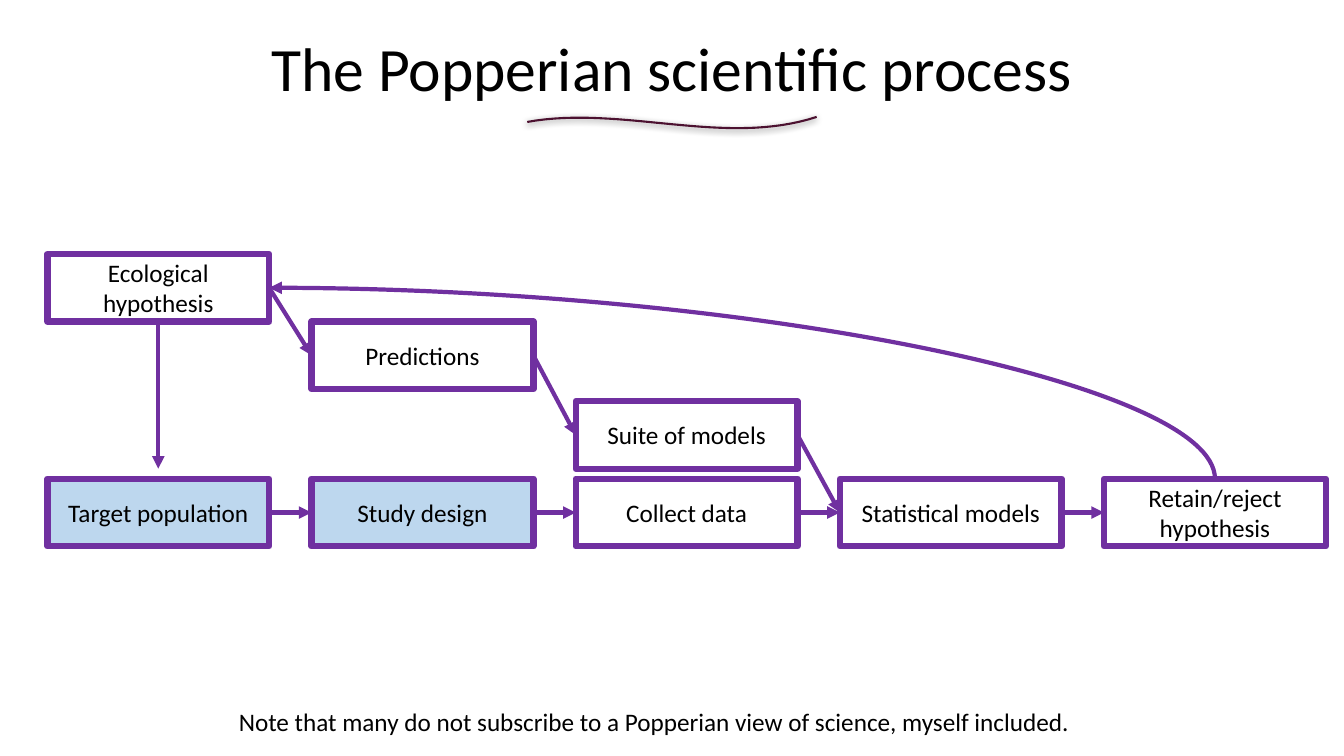
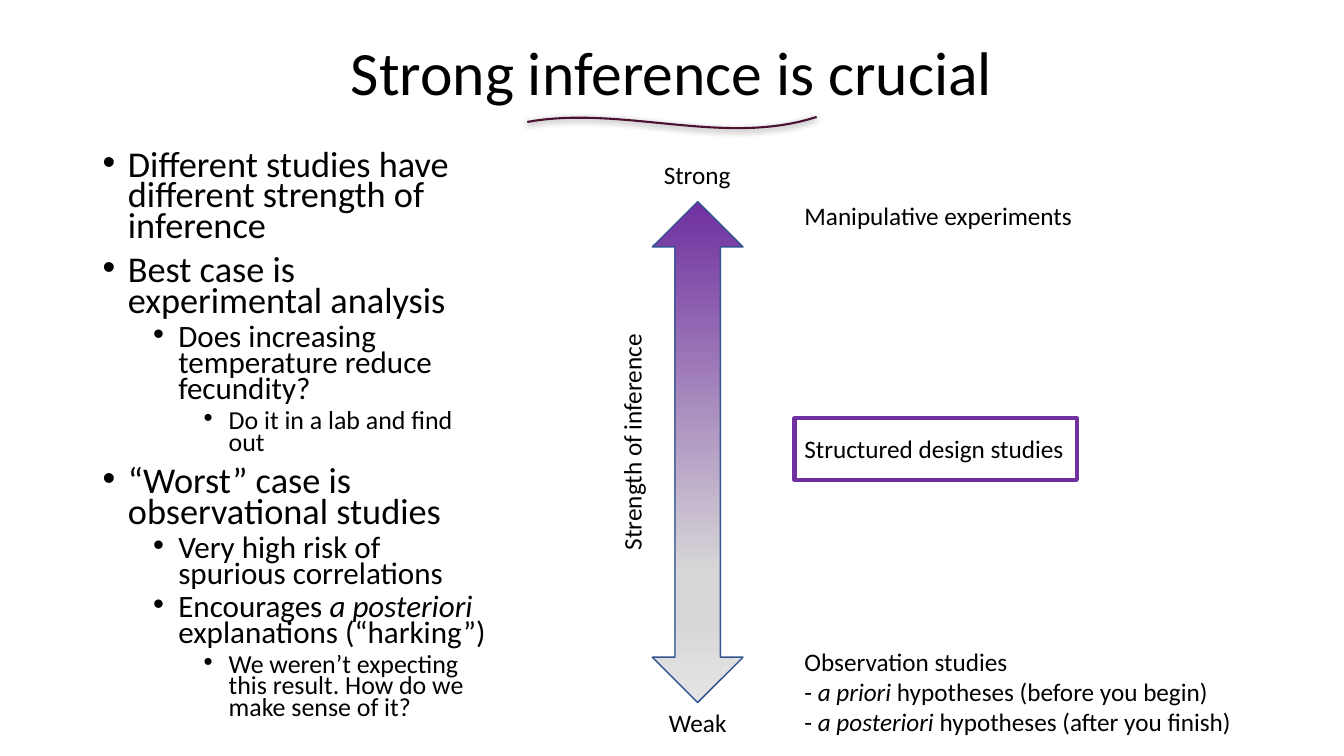
from lxml.etree import SubElement
from pptx import Presentation
from pptx.dml.color import RGBColor
from pptx.enum.shapes import MSO_CONNECTOR, MSO_SHAPE
from pptx.enum.text import MSO_ANCHOR, MSO_AUTO_SIZE, PP_ALIGN
from pptx.oxml.ns import qn
from pptx.util import Inches, Pt

FONT = "Calibri"
BLACK = "000000"
PURPLE = "7030A0"
PALE_BLUE = "BDD7EE"
PLUM = "4C1130"
ARROW_EDGE = "325491"
STRENGTH_STOPS = [(0, PURPLE), (74, "D7D7D7"), (83, "D7D7D7"), (100, "E4E4E4")]

BOX_WIDTH, BOX_HEIGHT = 2.2, 0.67
FIRST_COLUMN, COLUMN_STEP = 0.47, 2.62
BOTTOM_ROW = 4.75
TOP, LEFT, BOTTOM, RIGHT = range(4)

SWASH_CURVE = [(5.23, 1.21), (6.17, 1.04), (7.19, 1.46), (8.1, 1.16)]
SWASH_STEPS = 32

BULLET_SIZES = [25.9, 22.2, 18.5]
BULLETS = [
    (0, "Different studies have different strength of inference"),
    (0, "Best case is experimental analysis"),
    (1, "Does increasing temperature reduce fecundity?"),
    (2, "Do it in a lab and find out"),
    (0, "“Worst” case is observational studies"),
    (1, "Very high risk of spurious correlations"),
    (1, "Encourages *a posteriori *explanations (“harking”)"),
    (2, "We weren’t expecting this result. How do we make sense of it?"),
]


def color(value):
    return RGBColor.from_string(value)


def set_line(line, value, width):
    line.color.rgb = color(value)
    line.width = Pt(width)


def add_runs(paragraph, text, size):
    for index, part in enumerate(text.split("*")):
        if part:
            run = paragraph.add_run()
            run.text = part
            run.font.name = FONT
            run.font.size = Pt(size)
            run.font.color.rgb = color(BLACK)
            run.font.italic = index % 2 == 1


def add_text_box(slide, left, top, width, height):
    return slide.shapes.add_textbox(
        Inches(left), Inches(top), Inches(width), Inches(height)
    )


def add_label(slide, left, top, width, height, lines, align=PP_ALIGN.LEFT):
    label = add_text_box(slide, left, top, width, height)
    frame = label.text_frame
    frame.word_wrap = False
    frame.auto_size = MSO_AUTO_SIZE.SHAPE_TO_FIT_TEXT
    for index, line in enumerate(lines):
        paragraph = frame.add_paragraph() if index else frame.paragraphs[0]
        paragraph.alignment = align
        add_runs(paragraph, line, 18)
    return label


def add_swash(slide):
    points = []
    for step in range(SWASH_STEPS + 1):
        t = step / SWASH_STEPS
        weights = [(1 - t) ** 3, 3 * t * (1 - t) ** 2, 3 * t**2 * (1 - t), t**3]
        points.append(tuple(
            Inches(sum(w * p[axis] for w, p in zip(weights, SWASH_CURVE)))
            for axis in (0, 1)
        ))
    builder = slide.shapes.build_freeform(*points[0])
    builder.add_line_segments(points[1:], close=False)
    swash = builder.convert_to_shape()
    swash.fill.background()
    set_line(swash.line, PLUM, 1.5)
    swash.shadow.inherit = False
    effects = swash._element.spPr.find(qn("a:effectLst"))
    shadow = SubElement(effects, qn("a:outerShdw"), blurRad=str(Pt(4.5)),
                        dist=str(Pt(1.5)), dir="5400000", algn="bl",
                        rotWithShape="0")
    shade = SubElement(shadow, qn("a:srgbClr"), val=BLACK)
    SubElement(shade, qn("a:alpha"), val="50000")


def add_titled_slide(presentation, title, top):
    slide = presentation.slides.add_slide(presentation.slide_layouts[6])
    frame = add_text_box(slide, 0, top, 13.33, 1.45).text_frame
    frame.word_wrap = True
    frame.vertical_anchor = MSO_ANCHOR.MIDDLE
    heading = frame.paragraphs[0]
    heading.alignment = PP_ALIGN.CENTER
    heading.line_spacing = 0.9
    add_runs(heading, title, 44)
    add_swash(slide)
    return slide


def add_shape(slide, kind, left, top, width, height, line, line_width):
    shape = slide.shapes.add_shape(
        kind, Inches(left), Inches(top), Inches(width), Inches(height)
    )
    shape.shadow.inherit = False
    shape.fill.background()
    set_line(shape.line, line, line_width)
    return shape


def add_step(slide, column, top, text, fill=None):
    step = add_shape(slide, MSO_SHAPE.FLOWCHART_PROCESS,
                     FIRST_COLUMN + column * COLUMN_STEP, top,
                     BOX_WIDTH, BOX_HEIGHT, PURPLE, 4.5)
    if fill:
        step.fill.solid()
        step.fill.fore_color.rgb = color(fill)
    frame = step.text_frame
    frame.word_wrap = True
    frame.vertical_anchor = MSO_ANCHOR.MIDDLE
    frame.paragraphs[0].alignment = PP_ALIGN.CENTER
    add_runs(frame.paragraphs[0], text, 18)
    return step


def add_arrow(slide, kind, left, top, right, bottom):
    arrow = slide.shapes.add_connector(
        kind, Inches(left), Inches(top), Inches(right), Inches(bottom)
    )
    set_line(arrow.line, PURPLE, 3)
    SubElement(arrow.line._get_or_add_ln(), qn("a:tailEnd"), type="triangle")
    SubElement(arrow._element.spPr, qn("a:effectLst"))
    return arrow


def join_steps(slide, source, target):
    arrow = add_arrow(slide, MSO_CONNECTOR.STRAIGHT, 0, 0, 1, 1)
    arrow.begin_connect(source, RIGHT)
    arrow.end_connect(target, LEFT)


def add_feedback_arrow(slide, start, end):
    rise, run = start[1] - end[1], start[0] - end[0]
    left = (start[0] + end[0] - rise) / 2
    top = (start[1] + end[1] - run) / 2
    arrow = add_arrow(slide, MSO_CONNECTOR.CURVE,
                      left, top, left + rise, top + run)
    properties = arrow._element.spPr
    properties.find(qn("a:prstGeom")).set("prst", "curvedConnector2")
    frame = properties.find(qn("a:xfrm"))
    frame.set("rot", "16200000")
    frame.set("flipV", "1")


def add_bullets(slide):
    frame = add_text_box(slide, 0.92, 1.47, 4.01, 5.9).text_frame
    frame.word_wrap = True
    for index, (level, text) in enumerate(BULLETS):
        paragraph = frame.add_paragraph() if index else frame.paragraphs[0]
        properties = paragraph._p.get_or_add_pPr()
        properties.set("marL", str(Inches(0.25 + 0.5 * level)))
        properties.set("indent", str(Inches(-0.25)))
        SubElement(properties, qn("a:buFont"), typeface="Arial")
        SubElement(properties, qn("a:buChar"), char="•")
        paragraph.level = level
        paragraph.line_spacing = 0.7
        if index:
            paragraph.space_before = Pt(5 if level else 10)
        add_runs(paragraph, text, BULLET_SIZES[level])


def add_strength_arrow(slide):
    arrow = add_shape(slide, MSO_SHAPE.UP_DOWN_ARROW,
                      6.47, 2, 0.9, 4.97, ARROW_EDGE, 1)
    arrow.fill.gradient()
    gradient = arrow._element.spPr.find(qn("a:gradFill"))
    stops = gradient.find(qn("a:gsLst"))
    for stop in list(stops):
        stops.remove(stop)
    for position, value in STRENGTH_STOPS:
        stop = SubElement(stops, qn("a:gs"), pos=str(position * 1000))
        SubElement(stop, qn("a:srgbClr"), val=value)
    direction = gradient.find(qn("a:lin"))
    direction.set("ang", "5400000")
    direction.set("scaled", "0")


def build_process_slide(presentation):
    slide = add_titled_slide(presentation, "The Popperian scientific process", -0.02)
    hypothesis_top = 2.52
    hypothesis = add_step(slide, 0, hypothesis_top, "Ecological hypothesis")
    predictions = add_step(slide, 1, 3.19, "Predictions")
    suite = add_step(slide, 2, 3.98, "Suite of models")
    bottom_steps = [
        add_step(slide, column, BOTTOM_ROW, text, fill)
        for column, (text, fill) in enumerate([
            ("Target population", PALE_BLUE),
            ("Study design", PALE_BLUE),
            ("Collect data", None),
            ("Statistical models", None),
            ("Retain/reject hypothesis", None),
        ])
    ]
    center = FIRST_COLUMN + BOX_WIDTH / 2
    descent = add_arrow(slide, MSO_CONNECTOR.STRAIGHT,
                        center, hypothesis_top + BOX_HEIGHT, center, 4.65)
    descent.begin_connect(hypothesis, BOTTOM)
    for chain in (bottom_steps, [hypothesis, predictions, suite, bottom_steps[3]]):
        for source, target in zip(chain, chain[1:]):
            join_steps(slide, source, target)
    add_feedback_arrow(
        slide,
        (center + 4 * COLUMN_STEP, BOTTOM_ROW),
        (FIRST_COLUMN + BOX_WIDTH, hypothesis_top + BOX_HEIGHT / 2),
    )
    add_label(slide, 2.27, 6.96, 8.48, 0.4, [
        "Note that many do not subscribe to a Popperian view of science, "
        "myself included."
    ])


def build_inference_slide(presentation):
    slide = add_titled_slide(presentation, "Strong inference is crucial", 0.02)
    add_bullets(slide)
    add_strength_arrow(slide)
    add_label(slide, 6.48, 1.53, 0.87, 0.4, ["Strong"], PP_ALIGN.CENTER)
    add_label(slide, 6.53, 6.97, 0.78, 0.4, ["Weak"], PP_ALIGN.CENTER)
    axis = add_label(slide, 5.08, 4.17, 2.37, 0.4, ["Strength of inference"])
    axis.rotation = 270
    studies_left = 7.88
    add_label(slide, studies_left, 1.94, 2.89, 0.4, ["Manipulative experiments"])
    add_label(slide, studies_left, 4.25, 2.8, 0.4, ["Structured design studies"])
    add_label(slide, studies_left, 6.36, 4.49, 1.01, [
        "Observation studies",
        "- *a priori* hypotheses (before you begin)",
        "- *a posteriori *hypotheses (after you finish)",
    ])
    add_shape(slide, MSO_SHAPE.FLOWCHART_PROCESS,
              studies_left, 4.15, 2.8, 0.61, PURPLE, 3)


def main():
    presentation = Presentation()
    presentation.slide_width = Inches(13.33)
    presentation.slide_height = Inches(7.5)
    build_process_slide(presentation)
    build_inference_slide(presentation)
    presentation.save("out.pptx")


if __name__ == "__main__":
    main()
